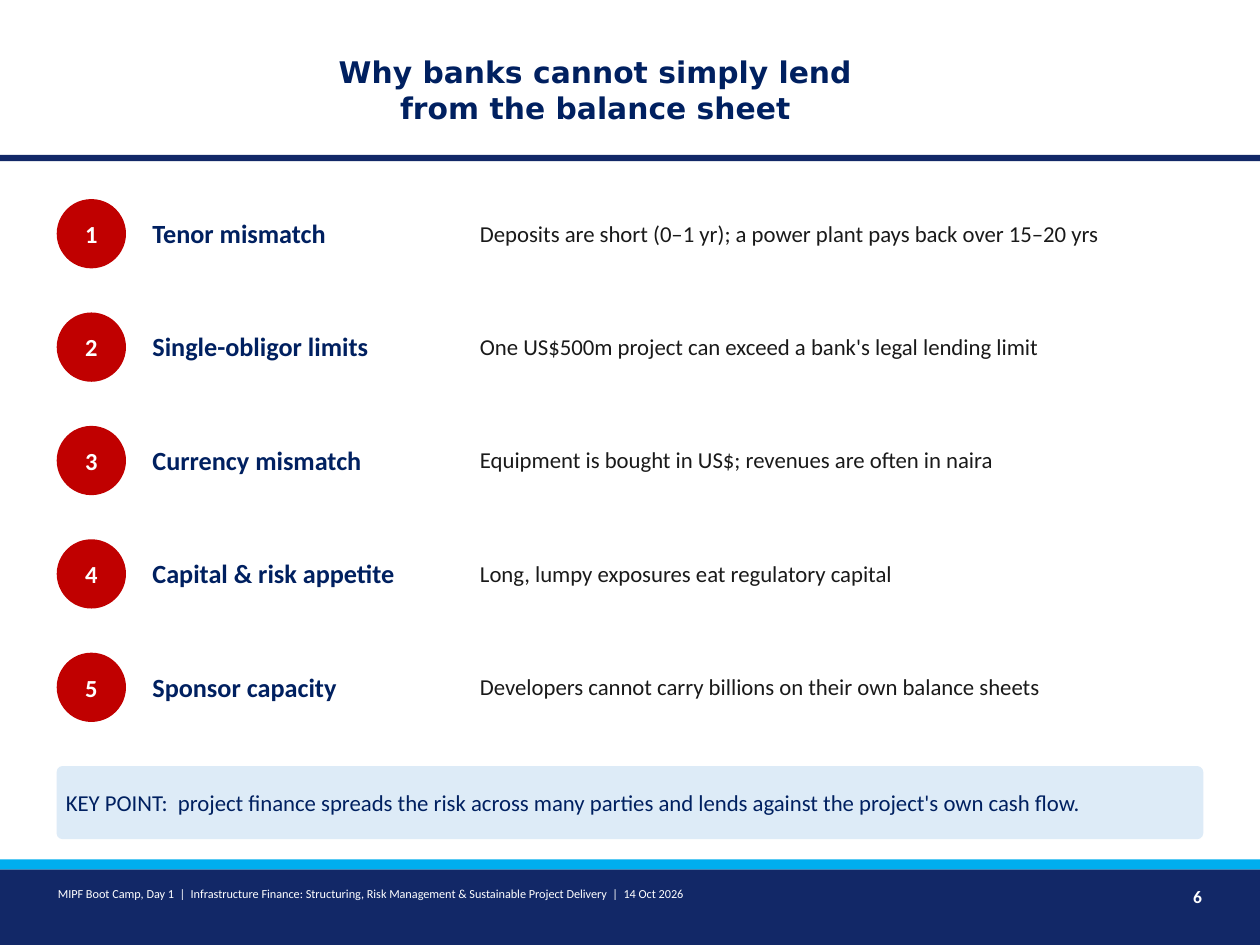
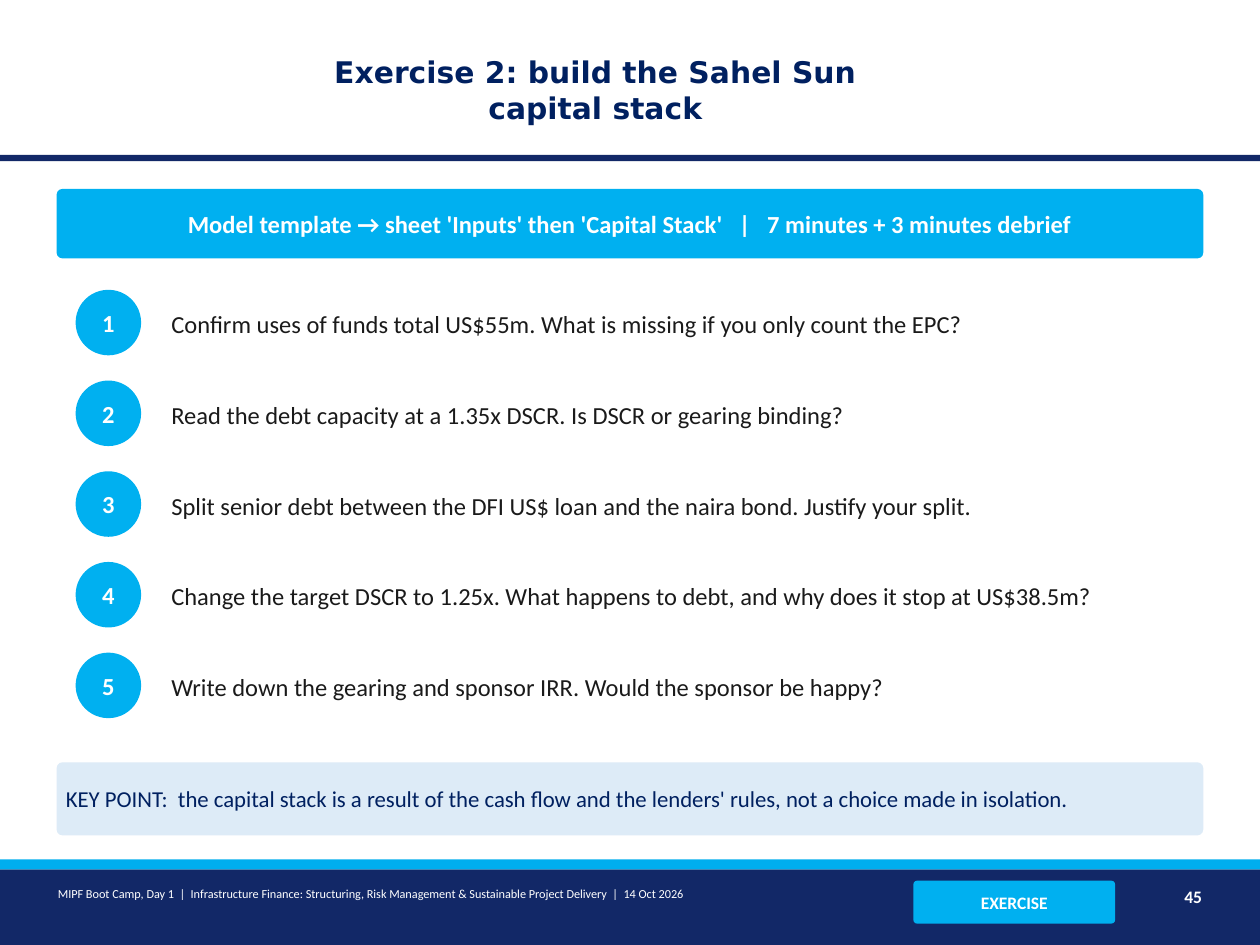
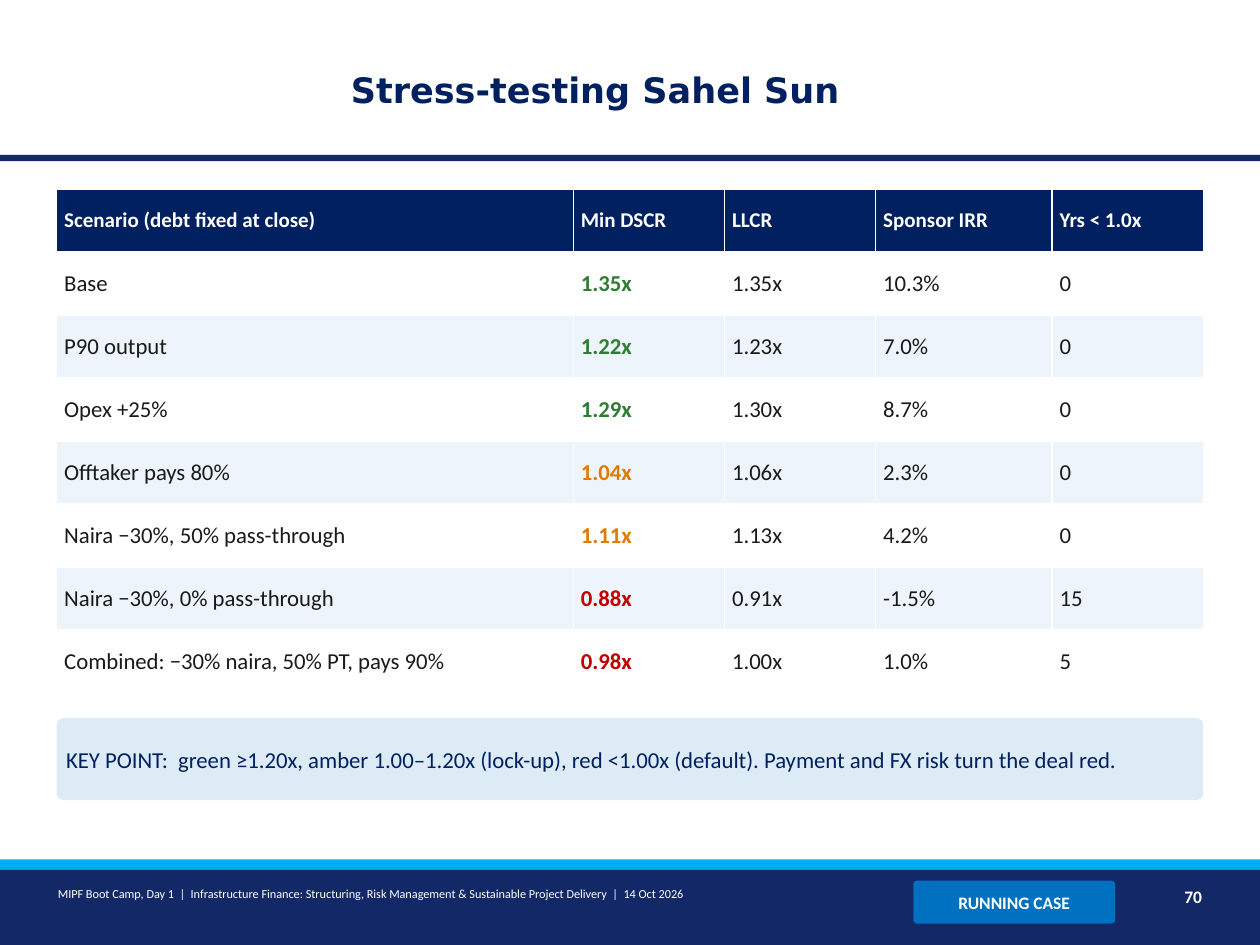
from dataclasses import dataclass

from pptx import Presentation
from pptx.dml.color import RGBColor
from pptx.enum.shapes import MSO_SHAPE
from pptx.enum.text import MSO_ANCHOR, PP_ALIGN
from pptx.util import Emu, Pt

EMU_PER_PX = 9144


@dataclass(frozen=True)
class Theme:
    band: str = "122867"
    stripe: str = "00AEEF"
    navy: str = "002060"
    sky: str = "00B0F0"
    blue: str = "0070C0"
    red: str = "C00000"
    amber: str = "E07B00"
    green: str = "2E7D32"
    ink: str = "1A1A1A"
    white: str = "FFFFFF"
    pale: str = "DDEBF7"
    row_tint: str = "EEF4FB"
    body_font: str = "Calibri"
    title_font: str = "DejaVu Sans"
    title_size: int = 17
    short_title_size: int = 20
    heading_size: int = 15
    step_size: int = 14
    body_size: int = 13
    header_size: int = 12
    tag_size: int = 10
    footer_size: int = 7


THEME = Theme()
PAGE_WIDTH, PAGE_HEIGHT = 1000, 750
MARGIN, CONTENT_WIDTH = 45, 910
FOOTER = ("MIPF Boot Camp, Day 1  |  Infrastructure Finance: Structuring, "
          "Risk Management & Sustainable Project Delivery  |  14 Oct 2026")
REASONS = [
    ("Tenor mismatch", "Deposits are short (0–1 yr); a power plant pays back over 15–20 yrs"),
    ("Single-obligor limits", "One US$500m project can exceed a bank's legal lending limit"),
    ("Currency mismatch", "Equipment is bought in US$; revenues are often in naira"),
    ("Capital & risk appetite", "Long, lumpy exposures eat regulatory capital"),
    ("Sponsor capacity", "Developers cannot carry billions on their own balance sheets"),
]
TASKS = [
    "Confirm uses of funds total US$55m. What is missing if you only count the EPC?",
    "Read the debt capacity at a 1.35x DSCR. Is DSCR or gearing binding?",
    "Split senior debt between the DFI US$ loan and the naira bond. Justify your split.",
    "Change the target DSCR to 1.25x. What happens to debt, and why does it stop at US$38.5m?",
    "Write down the gearing and sponsor IRR. Would the sponsor be happy?",
]
SCENARIO_WIDTHS = [410, 120, 120, 140, 120]
SCENARIOS = [
    ("Scenario (debt fixed at close)", "Min DSCR", "LLCR", "Sponsor IRR", "Yrs < 1.0x"),
    ("Base", "1.35x", "1.35x", "10.3%", "0"),
    ("P90 output", "1.22x", "1.23x", "7.0%", "0"),
    ("Opex +25%", "1.29x", "1.30x", "8.7%", "0"),
    ("Offtaker pays 80%", "1.04x", "1.06x", "2.3%", "0"),
    ("Naira −30%, 50% pass-through", "1.11x", "1.13x", "4.2%", "0"),
    ("Naira −30%, 0% pass-through", "0.88x", "0.91x", "-1.5%", "15"),
    ("Combined: −30% naira, 50% PT, pays 90%", "0.98x", "1.00x", "1.0%", "5"),
]


def px(*lengths):
    return [Emu(length * EMU_PER_PX) for length in lengths]


def paint(target, color):
    target.fill.solid()
    target.fill.fore_color.rgb = RGBColor.from_string(color)


def set_margins(target, across=6, down=3):
    target.margin_left = target.margin_right = Emu(across * EMU_PER_PX)
    target.margin_top = target.margin_bottom = Emu(down * EMU_PER_PX)


def write(frame, text, *, size, color, bold=False, font=THEME.body_font,
          align=PP_ALIGN.LEFT, after=0):
    para = frame.paragraphs[0]
    para.alignment = align
    para.space_after = Pt(after)
    span = para.add_run()
    span.text = text
    span.font.name = font
    span.font.size = Pt(size)
    span.font.bold = bold
    span.font.color.rgb = RGBColor.from_string(color)


def add_text(page, text, left, top, width, height, *, anchor=MSO_ANCHOR.MIDDLE,
             margins=(6, 3), **style):
    box = page.shapes.add_textbox(*px(left, top, width, height))
    frame = box.text_frame
    frame.word_wrap = True
    frame.vertical_anchor = anchor
    set_margins(frame, *margins)
    write(frame, text, **style)


def add_block(page, kind, left, top, width, height, fill, text="", **style):
    block = page.shapes.add_shape(kind, *px(left, top, width, height))
    block.shadow.inherit = False
    block.line.fill.background()
    paint(block, fill)
    if kind == MSO_SHAPE.ROUNDED_RECTANGLE:
        block.adjustments[0] = 0.08
    if text:
        frame = block.text_frame
        frame.word_wrap = True
        frame.vertical_anchor = MSO_ANCHOR.MIDDLE
        set_margins(frame)
        write(frame, text, **style)


def add_banner(page, text, left, top, width, height, fill, size):
    add_block(page, MSO_SHAPE.ROUNDED_RECTANGLE, left, top, width, height, fill, text,
              size=size, color=THEME.white, bold=True, align=PP_ALIGN.CENTER)


def add_number(page, number, left, top, diameter, fill):
    add_block(page, MSO_SHAPE.OVAL, left, top, diameter, diameter, fill, str(number),
              size=THEME.step_size, color=THEME.white, bold=True, align=PP_ALIGN.CENTER)


def add_key_point(page, text, top, height=58):
    add_block(page, MSO_SHAPE.ROUNDED_RECTANGLE, MARGIN, top, CONTENT_WIDTH, height,
              THEME.pale, f"KEY POINT:  {text}", size=THEME.body_size, color=THEME.navy)


def add_page(deck, title, number, title_size=THEME.title_size, tag="", tag_fill=THEME.sky):
    page = deck.slides.add_slide(deck.slide_layouts[6])
    for top, height, fill in ((123, 5, THEME.band), (690, 60, THEME.band),
                              (682, 8, THEME.stripe)):
        add_block(page, MSO_SHAPE.RECTANGLE, 0, top, PAGE_WIDTH, height, fill)
    add_text(page, title, 230, 22, 485, 98, margins=(10, 5), size=title_size,
             color=THEME.navy, bold=True, font=THEME.title_font, align=PP_ALIGN.CENTER)
    if tag:
        add_banner(page, tag, 725, 699, 160, 34, tag_fill, THEME.tag_size)
    add_text(page, FOOTER, 40, 700, 680, 35, anchor=MSO_ANCHOR.TOP,
             size=THEME.footer_size, color=THEME.white)
    add_text(page, str(number), 900, 700, 60, 35, anchor=MSO_ANCHOR.TOP,
             size=THEME.tag_size, color=THEME.white, bold=True, align=PP_ALIGN.RIGHT)
    return page


def add_reasons(page, top=150, pitch=90):
    for index, (heading, detail) in enumerate(REASONS):
        row_top = top + index * pitch
        add_number(page, index + 1, MARGIN, row_top + 8, 55, THEME.red)
        add_text(page, heading, 115, row_top, 260, 70, size=THEME.heading_size,
                 color=THEME.navy, bold=True, after=4)
        add_text(page, detail, 375, row_top, 580, 70, size=THEME.body_size,
                 color=THEME.ink, after=4)


def add_tasks(page, top=227, pitch=72):
    for index, task in enumerate(TASKS):
        row_top = top + index * pitch
        add_number(page, index + 1, 60, row_top + 3, 52, THEME.sky)
        add_text(page, task, 130, row_top, 820, 60, size=THEME.step_size,
                 color=THEME.ink, after=4)


def cover_color(ratio):
    value = float(ratio.rstrip("x"))
    if value >= 1.2:
        return THEME.green
    return THEME.amber if value >= 1 else THEME.red


def add_scenarios(page, top=150, row_height=50):
    table = page.shapes.add_table(
        len(SCENARIOS), len(SCENARIO_WIDTHS),
        *px(MARGIN, top, CONTENT_WIDTH, row_height * len(SCENARIOS))).table
    for column, width in zip(table.columns, px(*SCENARIO_WIDTHS)):
        column.width = width
    for row, values in enumerate(SCENARIOS):
        for column, text in enumerate(values):
            cell = table.cell(row, column)
            cell.vertical_anchor = MSO_ANCHOR.MIDDLE
            set_margins(cell)
            if row == 0:
                paint(cell, THEME.navy)
                write(cell.text_frame, text, size=THEME.header_size,
                      color=THEME.white, bold=True)
            else:
                is_cover = column == 1
                paint(cell, THEME.white if row % 2 else THEME.row_tint)
                write(cell.text_frame, text, size=THEME.body_size, bold=is_cover,
                      color=cover_color(text) if is_cover else THEME.ink)


def main():
    deck = Presentation()
    deck.slide_width, deck.slide_height = px(PAGE_WIDTH, PAGE_HEIGHT)

    page = add_page(deck, "Why banks cannot simply lend from the balance sheet", 6)
    add_reasons(page)
    add_key_point(page, "project finance spreads the risk across many parties and lends "
                  "against the project's own cash flow.", 608)

    page = add_page(deck, "Exercise 2: build the Sahel Sun capital stack", 45, tag="EXERCISE")
    add_banner(page, "Model template → sheet 'Inputs' then 'Capital Stack'   |   "
               "7 minutes + 3 minutes debrief", MARGIN, 150, CONTENT_WIDTH, 55,
               THEME.sky, THEME.step_size)
    add_tasks(page)
    add_key_point(page, "the capital stack is a result of the cash flow and the lenders' "
                  "rules, not a choice made in isolation.", 605)

    page = add_page(deck, "Stress-testing Sahel Sun", 70, THEME.short_title_size,
                    tag="RUNNING CASE", tag_fill=THEME.blue)
    add_scenarios(page)
    add_key_point(page, "green ≥1.20x, amber 1.00–1.20x (lock-up), red <1.00x (default). "
                  "Payment and FX risk turn the deal red.", 570, height=65)

    deck.save("out.pptx")


if __name__ == "__main__":
    main()
